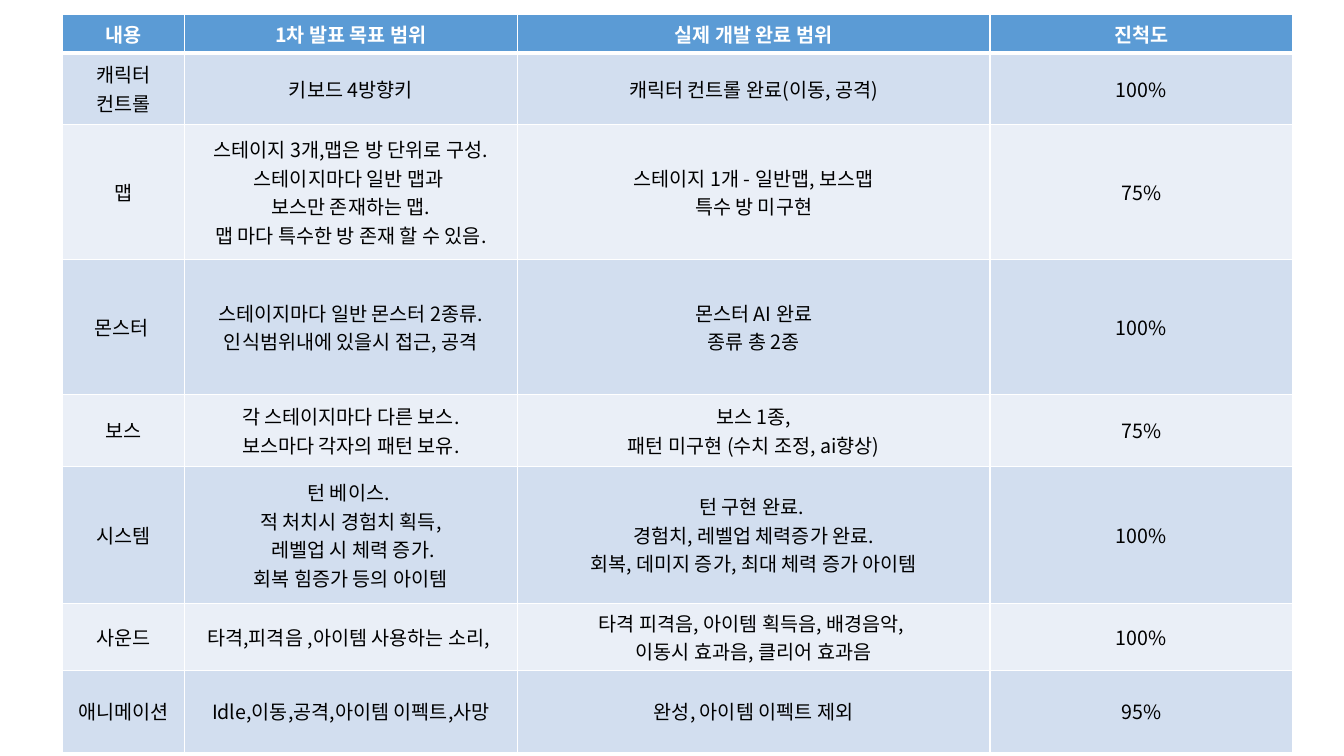
from lxml import etree
from pptx import Presentation
from pptx import util as u
from pptx.dml.color import RGBColor
from pptx.enum import text
from pptx.oxml import ns

FONT = "Noto Sans CJK KR"
COLORS = {
    "header": "5B9BD5",
    "odd_row": "D2DEEF",
    "even_row": "EAEFF7",
    "white": "FFFFFF",
    "black": "000000",
}
SLIDE_WIDTH = u.Inches(13.33)
SLIDE_HEIGHT = u.Inches(7.5)
TABLE_LEFT, TABLE_TOP = 4.65, 1.87
COLUMN_SHARES = [9.08, 24.76, 35.18, 22.51]
ROW_SHARES = [4.67, 9.47, 17.87, 17.87, 9.47, 18.13, 7.6, 10.8]
PROGRESS = [
    ["내용", "1차 발표 목표 범위", "실제 개발 완료 범위", "진척도"],
    ["캐릭터 컨트롤", "키보드 4방향키", "캐릭터 컨트롤 완료(이동, 공격)", "100%"],
    [
        "맵",
        "스테이지 3개,맵은 방 단위로 구성.\n스테이지마다 일반 맵과 \n"
        "보스만 존재하는 맵.\n맵 마다 특수한 방 존재 할 수 있음.",
        "스테이지 1개 - 일반맵, 보스맵\n특수 방 미구현",
        "75%",
    ],
    [
        "몬스터 ",
        "스테이지마다 일반 몬스터 2종류.\n인식범위내에 있을시 접근, 공격",
        "몬스터 AI 완료\n종류 총 2종",
        "100%",
    ],
    [
        "보스",
        "각 스테이지마다 다른 보스.\n보스마다 각자의 패턴 보유.",
        "보스 1종,\n패턴 미구현 (수치 조정, ai향상)",
        "75%",
    ],
    [
        "시스템",
        "턴 베이스. \n적 처치시 경험치 획득,\n 레벨업 시 체력 증가.\n회복 힘증가 등의 아이템",
        "턴 구현 완료. \n경험치, 레벨업 체력증가 완료.\n회복, 데미지 증가, 최대 체력 증가 아이템",
        "100%",
    ],
    [
        "사운드",
        "타격,피격음 ,아이템 사용하는 소리, ",
        "타격 피격음, 아이템 획득음, 배경음악, \n이동시 효과음, 클리어 효과음",
        "100%",
    ],
    ["애니메이션", "Idle,이동,공격,아이템 이펙트,사망", "완성, 아이템 이펙트 제외", "95%"],
]


def across(percent):
    return round(SLIDE_WIDTH * percent / 100)


def down(percent):
    return round(SLIDE_HEIGHT * percent / 100)


def add_borders(cell, widths):
    properties = cell._tc.get_or_add_tcPr()
    for side, width in widths.items():
        line = etree.SubElement(properties, ns.qn(f"a:ln{side}"), w=str(u.Pt(width)))
        fill = etree.SubElement(line, ns.qn("a:solidFill"))
        etree.SubElement(fill, ns.qn("a:srgbClr"), val=COLORS["white"])


def format_text(cell, color, bold):
    cell.vertical_anchor = text.MSO_ANCHOR.MIDDLE
    for paragraph in cell.text_frame.paragraphs:
        paragraph.alignment = text.PP_ALIGN.CENTER
        for run in paragraph.runs:
            font = run.font
            font.name = FONT
            font.size = u.Pt(14)
            font.bold = bold
            font.color.rgb = RGBColor.from_string(COLORS[color])
            etree.SubElement(run._r.get_or_add_rPr(), ns.qn("a:ea"), typeface=FONT)


def fill_cell(cell, words, row_index):
    is_header = row_index == 0
    cell.text_frame.text = words
    format_text(cell, "white" if is_header else "black", is_header)
    top = 3 if row_index == 1 else 1
    bottom = 3 if is_header else 1
    add_borders(cell, {"L": 1, "R": 1, "T": top, "B": bottom})
    band = "odd_row" if row_index % 2 else "even_row"
    cell.fill.solid()
    cell.fill.fore_color.rgb = RGBColor.from_string(COLORS["header" if is_header else band])


def add_progress_table(slide):
    table = slide.shapes.add_table(
        len(ROW_SHARES), len(COLUMN_SHARES),
        across(TABLE_LEFT), down(TABLE_TOP),
        across(sum(COLUMN_SHARES)), down(sum(ROW_SHARES)),
    ).table
    for column, share in zip(table.columns, COLUMN_SHARES):
        column.width = across(share)
    for row, share in zip(table.rows, ROW_SHARES):
        row.height = down(share)
    for row_index, row_words in enumerate(PROGRESS):
        for column_index, words in enumerate(row_words):
            fill_cell(table.cell(row_index, column_index), words, row_index)


def main():
    presentation = Presentation()
    presentation.slide_width = SLIDE_WIDTH
    presentation.slide_height = SLIDE_HEIGHT
    slide = presentation.slides.add_slide(presentation.slide_layouts[6])
    add_progress_table(slide)
    presentation.save("out.pptx")


if __name__ == "__main__":
    main()
